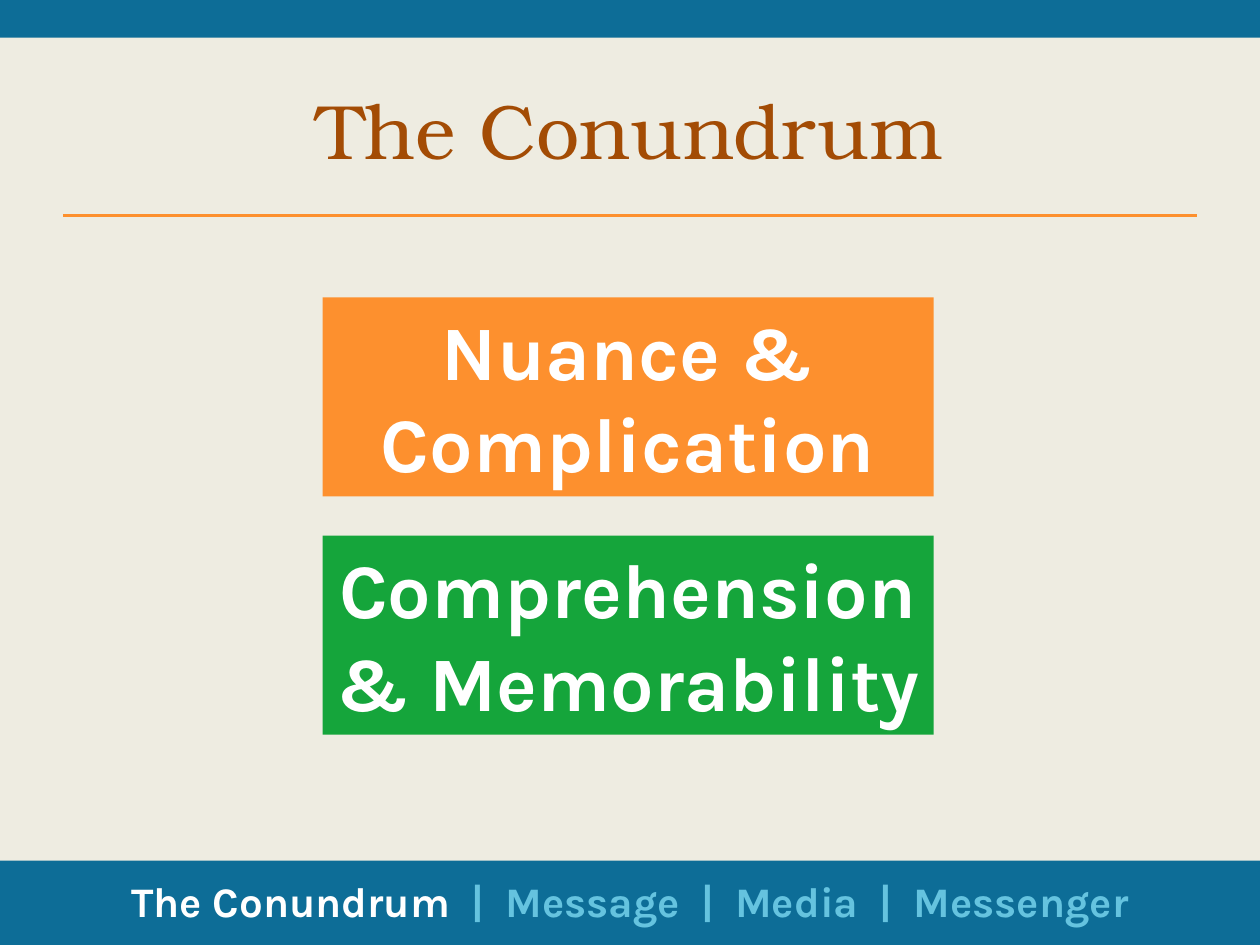
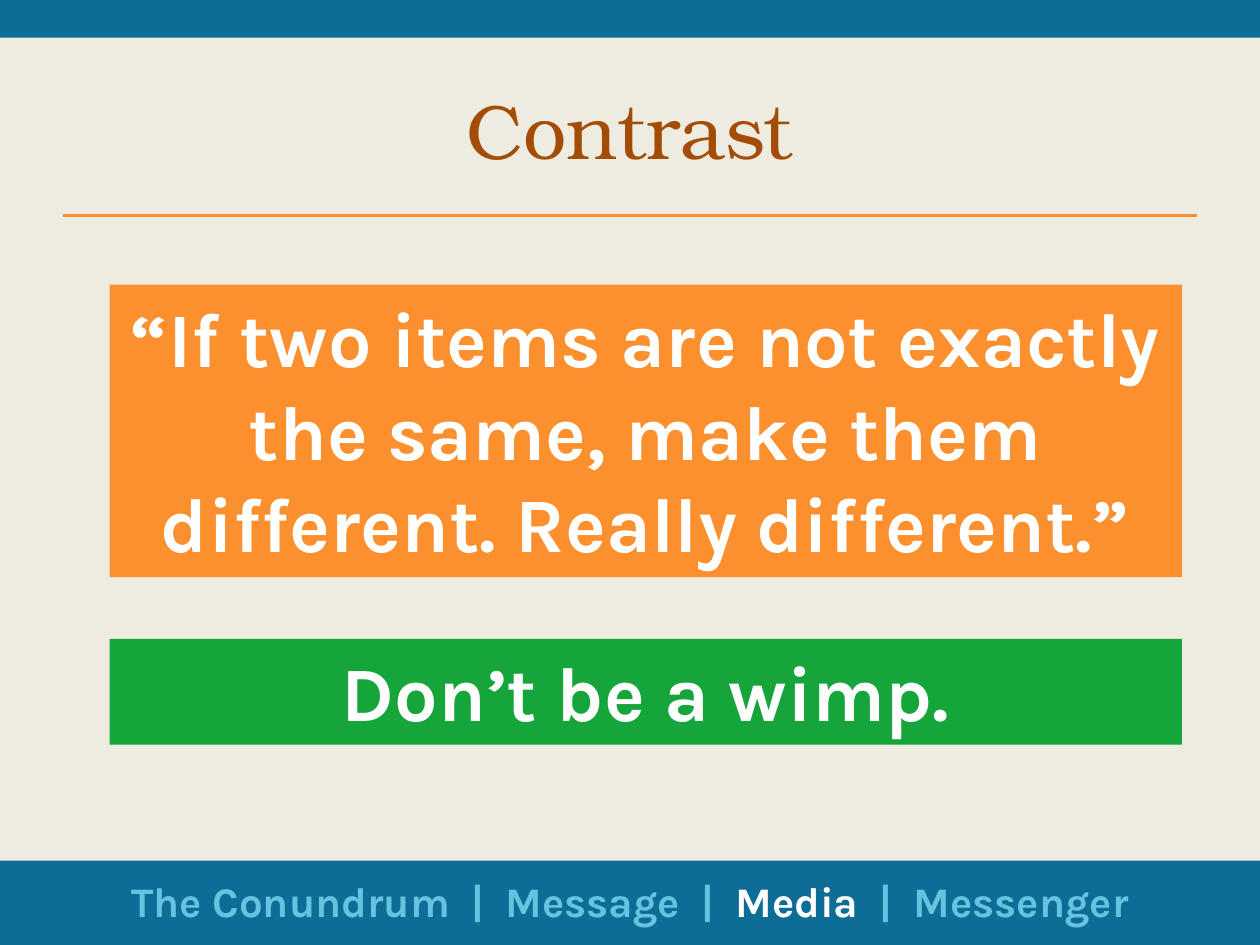
import pptx
import pptx.util
from pptx.dml.color import RGBColor
from pptx.enum.shapes import MSO_CONNECTOR, MSO_SHAPE
from pptx.enum.text import MSO_ANCHOR, MSO_AUTO_SIZE, PP_ALIGN
from pptx.oxml.xmlchemy import OxmlElement
from pptx.util import Inches

CREAM = RGBColor(0xEE, 0xEC, 0xE1)
BLUE = RGBColor(0x0D, 0x6D, 0x97)
LIGHT_BLUE = RGBColor(0x65, 0xC3, 0xDF)
ORANGE = RGBColor(0xFD, 0x90, 0x2E)
GREEN = RGBColor(0x15, 0xA5, 0x3B)
BROWN = RGBColor(0xA3, 0x4C, 0x05)
WHITE = RGBColor(0xFF, 0xFF, 0xFF)

TITLE_FONT = "TeX Gyre Bonum"
BODY_FONT = "Karla"
LARGE, SMALL = 44, 24
SLIDE_WIDTH, SLIDE_HEIGHT = 10, 7.5
MARGIN = 0.5
CONTENT_WIDTH = SLIDE_WIDTH - 2 * MARGIN
TOP_BAND_HEIGHT, FOOTER_HEIGHT = 0.3, 0.67
RULE_TOP = 1.71
SECTIONS = ["The Conundrum", "Message", "Media", "Messenger"]
SEPARATOR = "  |  "


def format_run(run, font_name, size, color, bold=False):
    run.font.name = font_name
    run.font.size = pptx.util.Pt(size)
    run.font.color.rgb = color
    run.font.bold = bold


def add_rectangle(slide, box, color):
    shape = slide.shapes.add_shape(MSO_SHAPE.RECTANGLE, *map(Inches, box))
    shape.shadow.inherit = False
    shape.fill.solid()
    shape.fill.fore_color.rgb = color
    shape.line.fill.background()
    return shape


def add_text_box(slide, box, anchor):
    text_box = slide.shapes.add_textbox(*map(Inches, box))
    text_frame = text_box.text_frame
    text_frame.word_wrap = True
    text_frame.vertical_anchor = anchor
    paragraph = text_frame.paragraphs[0]
    paragraph.alignment = PP_ALIGN.CENTER
    return text_frame, paragraph


def add_rule(slide, left, top, width):
    rule = slide.shapes.add_connector(
        MSO_CONNECTOR.STRAIGHT,
        Inches(left), Inches(top), Inches(left + width), Inches(top))
    rule.line.color.rgb = ORANGE
    rule.line.width = pptx.util.Pt(2)
    rule._element.spPr.append(OxmlElement("a:effectLst"))


def add_title(slide, box, title):
    _, paragraph = add_text_box(slide, box, MSO_ANCHOR.MIDDLE)
    paragraph.text = title
    format_run(paragraph.runs[0], TITLE_FONT, LARGE, BROWN)


def add_footer(slide, box, current_section):
    left, top, width, height = box
    add_rectangle(slide, box, BLUE)
    text_box = (left + MARGIN, top + 0.07, width - 2 * MARGIN, 0.5)
    text_frame, paragraph = add_text_box(slide, text_box, MSO_ANCHOR.TOP)
    text_frame.auto_size = MSO_AUTO_SIZE.SHAPE_TO_FIT_TEXT
    for index, section in enumerate(SECTIONS):
        if index:
            separator = paragraph.add_run()
            separator.text = SEPARATOR
            format_run(separator, BODY_FONT, SMALL, LIGHT_BLUE, bold=True)
        run = paragraph.add_run()
        run.text = section
        color = WHITE if section == current_section else LIGHT_BLUE
        format_run(run, BODY_FONT, SMALL, color, bold=True)


def add_message(slide, box, message, color):
    shape = add_rectangle(slide, box, color)
    text_frame = shape.text_frame
    text_frame.word_wrap = True
    text_frame.auto_size = MSO_AUTO_SIZE.SHAPE_TO_FIT_TEXT
    text_frame.vertical_anchor = MSO_ANCHOR.TOP
    text_frame.text = message
    paragraph = text_frame.paragraphs[0]
    paragraph.alignment = PP_ALIGN.CENTER
    format_run(paragraph.runs[0], BODY_FONT, LARGE, WHITE, bold=True)


def add_message_stack(slide, left, top, width, gap, messages):
    for message, color, height in messages:
        add_message(slide, (left, top, width, height), message, color)
        top += height + gap


def add_section_slide(presentation, title, current_section):
    slide = presentation.slides.add_slide(presentation.slide_layouts[6])
    slide.background.fill.solid()
    slide.background.fill.fore_color.rgb = CREAM
    add_rectangle(slide, (0, 0, SLIDE_WIDTH, TOP_BAND_HEIGHT), BLUE)
    add_rule(slide, MARGIN, RULE_TOP, CONTENT_WIDTH)
    add_title(slide, (MARGIN, 0.5, CONTENT_WIDTH, 1.05), title)
    footer_top = SLIDE_HEIGHT - FOOTER_HEIGHT
    add_footer(slide, (0, footer_top, SLIDE_WIDTH, FOOTER_HEIGHT),
               current_section)
    return slide


def main():
    presentation = pptx.Presentation()
    presentation.slide_width = Inches(SLIDE_WIDTH)
    presentation.slide_height = Inches(SLIDE_HEIGHT)

    conundrum = add_section_slide(presentation, "The Conundrum",
                                  "The Conundrum")
    add_message_stack(conundrum, 2.56, 2.36, 4.85, 0.31, [
        ("Nuance & Complication", ORANGE, 1.58),
        ("Comprehension & Memorability", GREEN, 1.58),
    ])

    contrast = add_section_slide(presentation, "Contrast", "Media")
    add_message_stack(contrast, 0.87, 2.26, 8.51, 0.49, [
        ("“If two items are not exactly the same, make them different. "
         "Really different.”", ORANGE, 2.32),
        ("Don’t be a wimp.", GREEN, 0.84),
    ])

    presentation.save("out.pptx")


if __name__ == "__main__":
    main()
